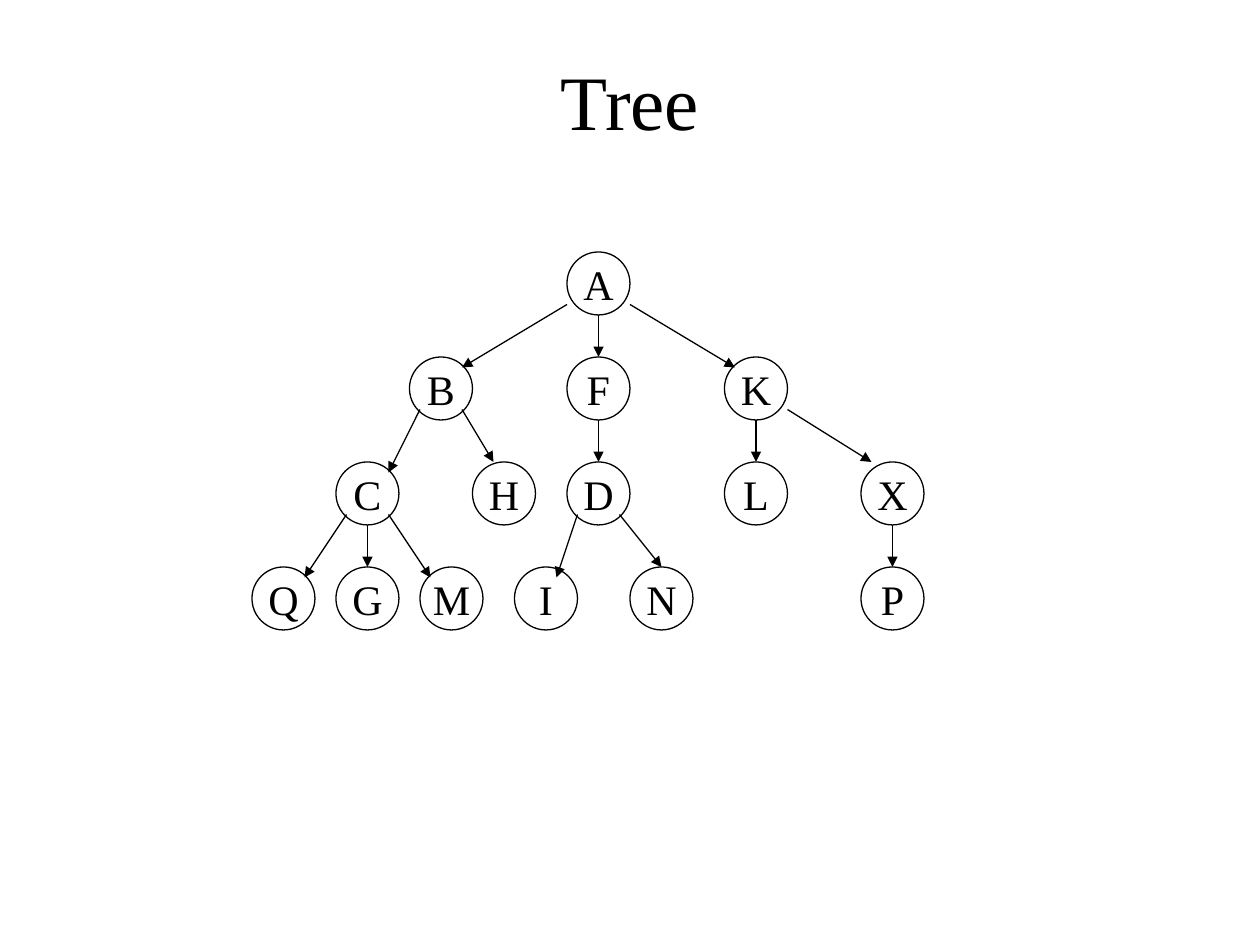
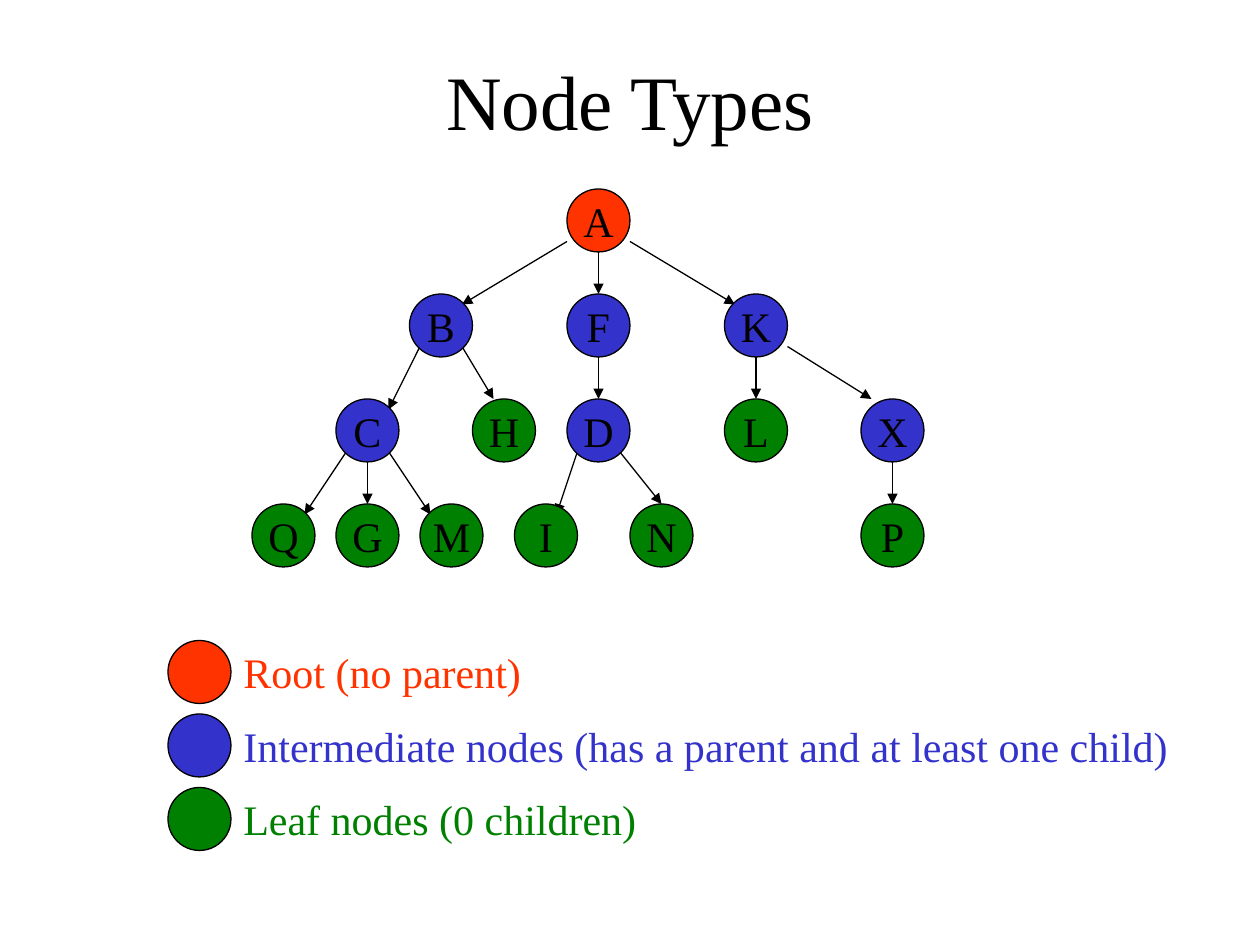
"""Builds two slides: a plain tree, then the same tree coloured by node type."""
from pptx import Presentation
from pptx.dml.color import RGBColor
from pptx.enum.shapes import MSO_CONNECTOR, MSO_SHAPE
from pptx.enum.text import MSO_ANCHOR, PP_ALIGN
from pptx.oxml.ns import qn
from pptx.util import Pt
from lxml.etree import SubElement

PX = 7620
FONT = "Times New Roman"
BLACK = "000000"
SIZE = 60
STEP = 100
LEVELS = [
    {"A": 540},
    {"B": 390, "F": 540, "K": 690},
    {"C": 320, "H": 450, "D": 540, "L": 690, "X": 820},
    {"Q": 240, "G": 320, "M": 400, "I": 490, "N": 600, "P": 820},
]
TOP, BASE = (30, 0), (30, 60)
LOW_L, LOW_R = (10, 50), (50, 50)
FAR_L, FAR_R = (0, 50), (60, 50)
TIP_L, TIP_R = (10, 10), (50, 10)
EDGES = [
    ("A", "B", FAR_L, TIP_R),
    ("A", "F", BASE, TOP),
    ("A", "K", FAR_R, TIP_L),
    ("F", "D", BASE, TOP),
    ("C", "G", BASE, TOP),
    ("K", "X", FAR_R, (10, 0)),
    ("K", "L", BASE, TOP),
    ("B", "C", LOW_L, TIP_R),
    ("B", "H", LOW_R, (20, 0)),
    ("X", "P", BASE, TOP),
    ("D", "I", LOW_L, (40, 10)),
    ("D", "N", LOW_R, TOP),
    ("C", "Q", LOW_L, TIP_R),
    ("C", "M", LOW_R, TIP_L),
]
KINDS = {"root": "FF3300", "inner": "3333CC", "leaf": "008000"}
LEGEND = [
    ("root", "Root (no parent)", 360),
    ("inner", "Intermediate nodes (has a parent and at least one child)", 940),
    ("leaf", "Leaf nodes (0 children)", 590),
]
KEY_X, KEY_Y, KEY_STEP = 160, 610, 70
SLIDES = [
    {"title": "Tree", "box": (90, 40, 1020, 110), "top": 240, "typed": False},
    {"title": "Node Types", "box": (90, 20, 1020, 150), "top": 180, "typed": True},
]


def scale(*nums):
    return [num * PX for num in nums]


def tint(code):
    return RGBColor.from_string(code)


def write(shape, text, size=24, color=BLACK, align=PP_ALIGN.CENTER,
          anchor=MSO_ANCHOR.MIDDLE, wrap=True):
    frame = shape.text_frame
    frame.word_wrap = wrap
    frame.vertical_anchor = anchor
    para = frame.paragraphs[0]
    para.alignment = align
    run = para.add_run()
    run.text = text
    run.font.size = Pt(size)
    run.font.name = FONT
    run.font.color.rgb = tint(color)


def add_node(slide, left, top, fill=None):
    node = slide.shapes.add_shape(MSO_SHAPE.OVAL, *scale(left, top, SIZE, SIZE))
    node.shadow.inherit = False
    node.line.color.rgb = tint(BLACK)
    node.line.width = Pt(0.75)
    if fill:
        node.fill.solid()
        node.fill.fore_color.rgb = tint(fill)
    else:
        node.fill.background()
    return node


def add_arrow(slide, start, end):
    arrow = slide.shapes.add_connector(MSO_CONNECTOR.STRAIGHT, *scale(*start, *end))
    arrow.line.color.rgb = tint(BLACK)
    arrow.line.width = Pt(0.75)
    SubElement(arrow.line._get_or_add_ln(), qn("a:tailEnd"), type="triangle")
    SubElement(arrow._element.spPr, qn("a:effectLst"))
    return arrow


def find_kind(name):
    if name in LEVELS[0]:
        return "root"
    return "inner" if any(edge[0] == name for edge in EDGES) else "leaf"


def draw_tree(slide, top, typed):
    spots, nodes = {}, {}
    for depth, level in enumerate(LEVELS):
        for name, left in level.items():
            spots[name] = left, top + depth * STEP
            fill = KINDS[find_kind(name)] if typed else None
            nodes[name] = add_node(slide, *spots[name], fill)
            write(nodes[name], name, wrap=False)
    for head, child, leave, reach in EDGES:
        start = [a + b for a, b in zip(spots[head], leave)]
        end = [a + b for a, b in zip(spots[child], reach)]
        arrow = add_arrow(slide, start, end)
        if reach == TOP:
            arrow.end_connect(nodes[child], 0)
        if typed:
            nodes["A"]._element.addprevious(arrow._element)


def draw_legend(slide):
    for row, (kind, text, width) in enumerate(LEGEND):
        top = KEY_Y + row * KEY_STEP
        add_node(slide, KEY_X, top, KINDS[kind])
        label = slide.shapes.add_textbox(*scale(KEY_X + SIZE, top, width, SIZE))
        write(label, text, color=KINDS[kind], align=PP_ALIGN.LEFT, anchor=MSO_ANCHOR.TOP)


def main():
    deck = Presentation()
    deck.slide_width, deck.slide_height = scale(1200, 900)
    for page in SLIDES:
        slide = deck.slides.add_slide(deck.slide_layouts[6])
        write(slide.shapes.add_textbox(*scale(*page["box"])), page["title"], size=44)
        draw_tree(slide, page["top"], page["typed"])
        if page["typed"]:
            draw_legend(slide)
    deck.save("out.pptx")


if __name__ == "__main__":
    main()
